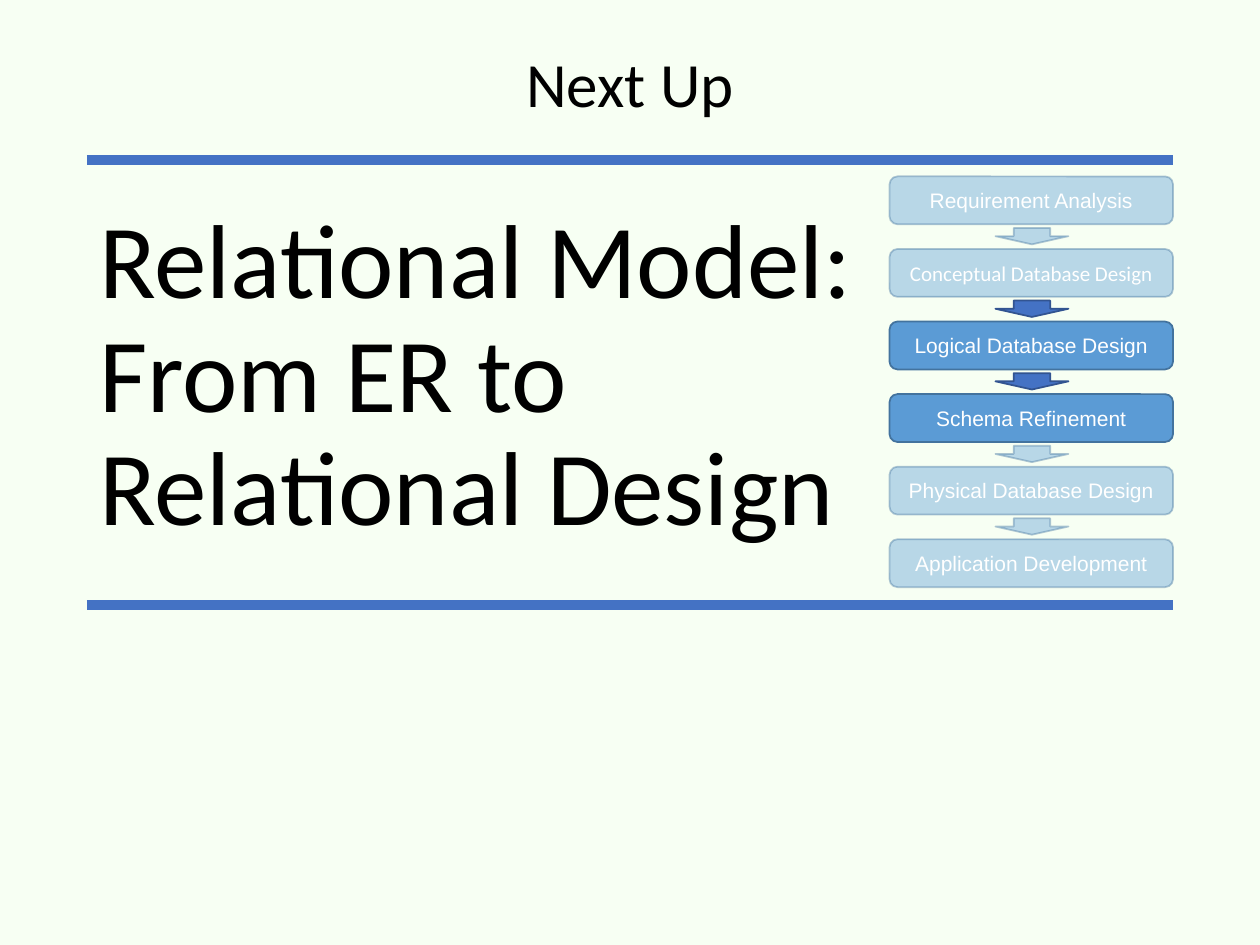
from dataclasses import dataclass

from lxml import etree
from pptx import Presentation
from pptx.dml.color import RGBColor
from pptx.enum.shapes import MSO_CONNECTOR, MSO_SHAPE
from pptx.enum.text import MSO_ANCHOR, PP_ALIGN
from pptx.oxml.ns import qn
from pptx.util import Inches, Pt

LINE = MSO_CONNECTOR.STRAIGHT
BOX, ARROW = MSO_SHAPE.ROUNDED_RECTANGLE, MSO_SHAPE.DOWN_ARROW
TOP, MIDDLE, BOTTOM = MSO_ANCHOR.TOP, MSO_ANCHOR.MIDDLE, MSO_ANCHOR.BOTTOM
LEFT, CENTER = PP_ALIGN.LEFT, PP_ALIGN.CENTER


@dataclass(frozen=True)
class Theme:
    back: str = "F7FFF3"
    ink: str = "000000"
    white: str = "FFFFFF"
    rule: str = "4472C4"
    box: str = "5B9BD5"
    edge: str = "43739E"
    arrow: str = "4472C4"
    rim: str = "325491"
    faded: int = 40
    title: int = 60
    head: int = 36
    label: int = 12
    main: str = "Calibri"
    plain: str = "Arial"


THEME = Theme()
STEPS = [
    ("Requirement Analysis", THEME.plain, False),
    ("Conceptual Database Design", THEME.main, False),
    ("Logical Database Design", THEME.plain, True),
    ("Schema Refinement", THEME.plain, True),
    ("Physical Database Design", THEME.plain, False),
    ("Application Development", THEME.plain, False),
]


def rgb(code):
    return RGBColor.from_string(code)


def write(shape, text, size, font, color, align, anchor, space=1.0):
    frame = shape.text_frame
    frame.word_wrap = True
    frame.vertical_anchor = anchor
    frame.text = text
    para = frame.paragraphs[0]
    para.alignment = align
    para.line_spacing = space
    look = {"size": Pt(size), "name": font}
    for run in para.runs:
        for key, value in look.items():
            setattr(run.font, key, value)
        run.font.color.rgb = rgb(color)


def add_text(slide, area, text, size, align, anchor):
    box = slide.shapes.add_textbox(*map(Inches, area))
    write(box, text, size, THEME.main, THEME.ink, align, anchor, 0.9)


def add_rule(slide, y):
    ends = map(Inches, (0.69, y, 9.31, y))
    rule = slide.shapes.add_connector(LINE, *ends)
    rule.line.color.rgb = rgb(THEME.rule)
    rule.line.width = Pt(6)
    etree.SubElement(rule._element.spPr, qn("a:effectLst"))


def fade(shape):
    for color in shape._element.spPr.iter(qn("a:srgbClr")):
        alpha = etree.SubElement(color, qn("a:alpha"))
        alpha.set("val", str(THEME.faded * 1000))


def add_part(group, kind, area, fill, edge, active):
    part = group.shapes.add_shape(kind, *map(Inches, area))
    part.shadow.inherit = False
    part.fill.solid()
    part.fill.fore_color.rgb = rgb(fill)
    part.line.color.rgb = rgb(edge)
    part.line.width = Pt(1)
    if not active:
        fade(part)
    return part


def add_flow(slide, left, top, pitch):
    group = slide.shapes.add_group_shape()
    for i, (text, font, active) in enumerate(STEPS):
        y = top + i * pitch
        area = (left, y, 2.25, 0.38)
        box = add_part(group, BOX, area, THEME.box, THEME.edge, active)
        frame = box.text_frame
        for side in ("left", "right", "top", "bottom"):
            setattr(frame, f"margin_{side}", Inches(0.05))
        write(box, text, THEME.label, font, THEME.white, CENTER, MIDDLE)
        if i + 1 < len(STEPS):
            lit = STEPS[i + 1][2]
            fill, edge = (
                (THEME.arrow, THEME.rim) if lit else (THEME.box, THEME.edge)
            )
            area = (left + 0.84, y + 0.41, 0.58, 0.13)
            add_part(group, ARROW, area, fill, edge, lit)


def main():
    deck = Presentation()
    deck.slide_width, deck.slide_height = Inches(10), Inches(7.5)
    slide = deck.slides.add_slide(deck.slide_layouts[6])
    slide.background.fill.solid()
    slide.background.fill.fore_color.rgb = rgb(THEME.back)
    title = "Relational Model:\vFrom ER to\vRelational Design"
    add_text(slide, (0.69, 1.28, 6.58, 3.12), title, THEME.title, LEFT, BOTTOM)
    add_text(slide, (0.69, 0.37, 8.62, 0.58), "Next Up", THEME.head, CENTER, TOP)
    for y in (1.27, 4.8):
        add_rule(slide, y)
    add_flow(slide, 7.06, 1.4, 2.88 / (len(STEPS) - 1))
    deck.save("out.pptx")


if __name__ == "__main__":
    main()
